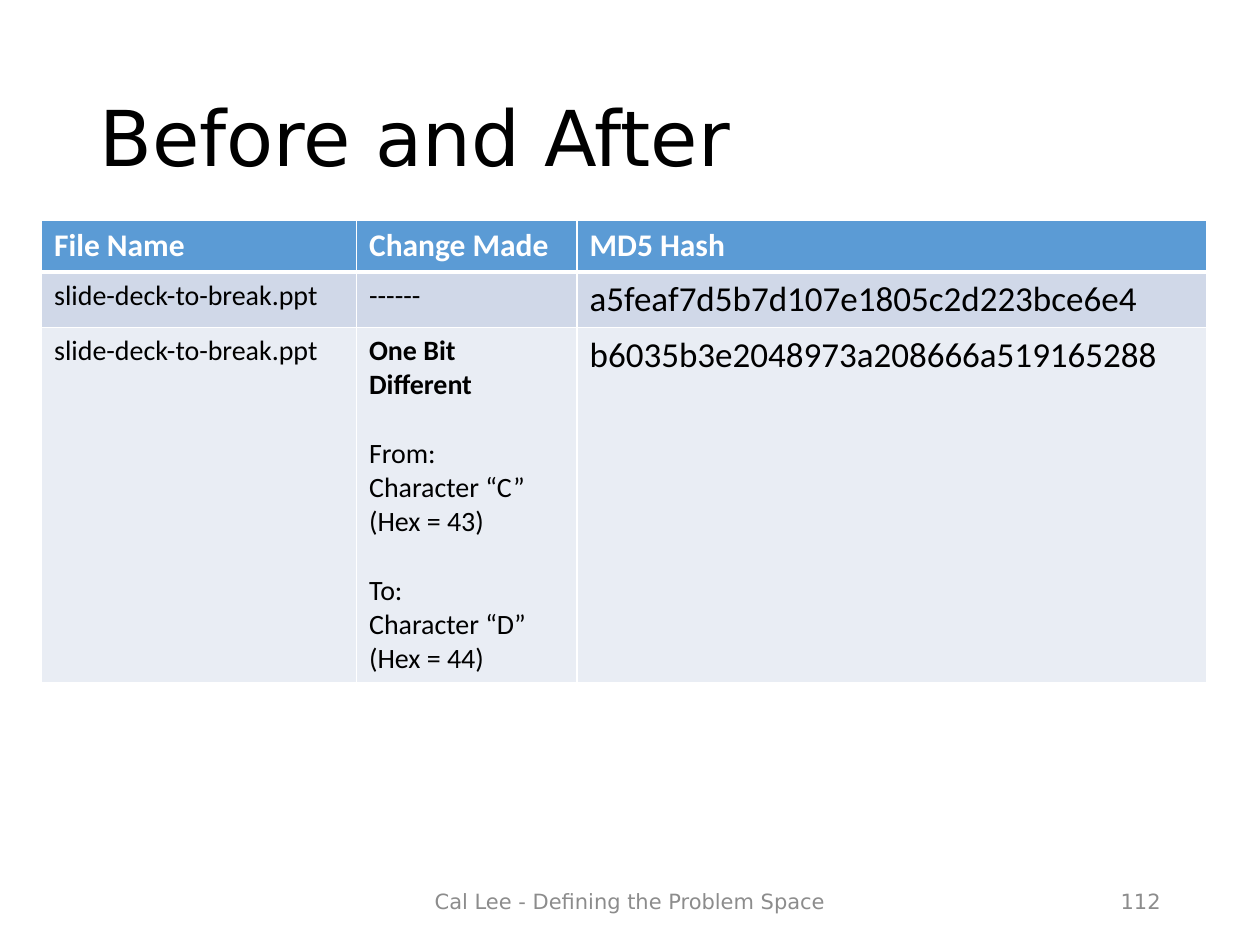
from pptx import Presentation
from pptx.dml.color import RGBColor
from pptx.enum.text import MSO_ANCHOR as Anchor, MSO_AUTO_SIZE as AutoSize, PP_ALIGN as Align
from pptx.oxml.ns import qn
from pptx.util import Inches, Pt
from lxml.etree import SubElement

COLORS = {
    "text": "000000",
    "white": "FFFFFF",
    "header": "5B9BD5",
    "band_dark": "D0D8E8",
    "band_light": "E9EDF4",
    "muted": "8C8C8C",
}
HEADING_FONT = "DejaVu Sans"
TABLE_FONT = "Calibri"
BLANK_LINE = 19.5
COLUMN_WIDTHS = [2.5, 1.75, 5]
ROW_HEIGHTS = [0.41, 0.43, 2.77]
ROW_FILLS = ["header", "band_dark", "band_light"]
FILE_NAME = "slide-deck-to-break.ppt"
CHANGE_LINES = [
    ("One Bit Different", True, 0),
    ("From:", False, BLANK_LINE),
    ("Character “C”", False, 0),
    ("(Hex = 43)", False, 0),
    ("To:", False, BLANK_LINE),
    ("Character “D”", False, 0),
    ("(Hex = 44)", False, 0),
]
ROWS = [
    ["File Name", "Change Made", "MD5 Hash"],
    [FILE_NAME, "------", "a5feaf7d5b7d107e1805c2d223bce6e4"],
    [FILE_NAME, CHANGE_LINES, "b6035b3e2048973a208666a519165288"],
]


def write(paragraph, text, size=16, font=TABLE_FONT, color="text", bold=False,
          align=Align.LEFT, space_before=0, line_spacing=1.0):
    paragraph.alignment = align
    paragraph.space_before = Pt(space_before)
    paragraph.line_spacing = line_spacing
    run = paragraph.add_run()
    run.text = text
    run.font.size = Pt(size)
    run.font.name = font
    run.font.bold = bold
    run.font.color.rgb = RGBColor.from_string(COLORS[color])


def set_borders(cell, top, bottom):
    properties = cell._tc.get_or_add_tcPr()
    for side, width in (("L", 1), ("R", 1), ("T", top), ("B", bottom)):
        line = SubElement(properties, qn(f"a:ln{side}"), w=str(Pt(width)))
        fill = SubElement(line, qn("a:solidFill"))
        SubElement(fill, qn("a:srgbClr"), val=COLORS["white"])


def add_title(slide, left, top, width, height):
    title = slide.shapes.title
    title.left, title.top = Inches(left), Inches(top)
    title.width, title.height = Inches(width), Inches(height)
    frame = title.text_frame
    frame.auto_size = AutoSize.NONE
    frame.vertical_anchor = Anchor.MIDDLE
    write(frame.paragraphs[0], "Before and After", size=44, font=HEADING_FONT,
          line_spacing=0.9)


def fill_cell(cell, content, row, column):
    set_borders(cell, top=3 if row == 1 else 1, bottom=3 if row == 0 else 1)
    cell.fill.solid()
    cell.fill.fore_color.rgb = RGBColor.from_string(COLORS[ROW_FILLS[row]])
    frame = cell.text_frame
    if row == 0:
        write(frame.paragraphs[0], content, size=18, color="white", bold=True)
    elif isinstance(content, str):
        write(frame.paragraphs[0], content, size=20 if column == 2 else 16)
    else:
        for index, (text, bold, gap) in enumerate(content):
            paragraph = frame.add_paragraph() if index else frame.paragraphs[0]
            write(paragraph, text, bold=bold, space_before=gap)


def add_hash_table(slide, left, top):
    table = slide.shapes.add_table(
        len(ROWS), len(COLUMN_WIDTHS), Inches(left), Inches(top),
        Inches(sum(COLUMN_WIDTHS)), Inches(sum(ROW_HEIGHTS))).table
    for column, width in zip(table.columns, COLUMN_WIDTHS):
        column.width = Inches(width)
    for row, height in zip(table.rows, ROW_HEIGHTS):
        row.height = Inches(height)
    for row, contents in enumerate(ROWS):
        for column, content in enumerate(contents):
            fill_cell(table.cell(row, column), content, row, column)


def add_footer(slide, text, left, top, width, height, align):
    box = slide.shapes.add_textbox(Inches(left), Inches(top), Inches(width), Inches(height))
    frame = box.text_frame
    frame.word_wrap = True
    frame.vertical_anchor = Anchor.MIDDLE
    write(frame.paragraphs[0], text, size=12, font=HEADING_FONT, color="muted", align=align)


def main():
    presentation = Presentation()
    presentation.slide_width, presentation.slide_height = Inches(10), Inches(7.5)
    slide = presentation.slides.add_slide(presentation.slide_layouts.get_by_name("Title Only"))
    add_title(slide, 0.69, 0.4, 8.62, 1.45)
    add_hash_table(slide, 0.33, 1.75)
    add_footer(slide, "Cal Lee - Defining the Problem Space", 3.31, 6.95, 3.38, 0.4, Align.CENTER)
    add_footer(slide, "112", 7.06, 6.95, 2.25, 0.4, Align.RIGHT)
    presentation.save("out.pptx")


if __name__ == "__main__":
    main()
